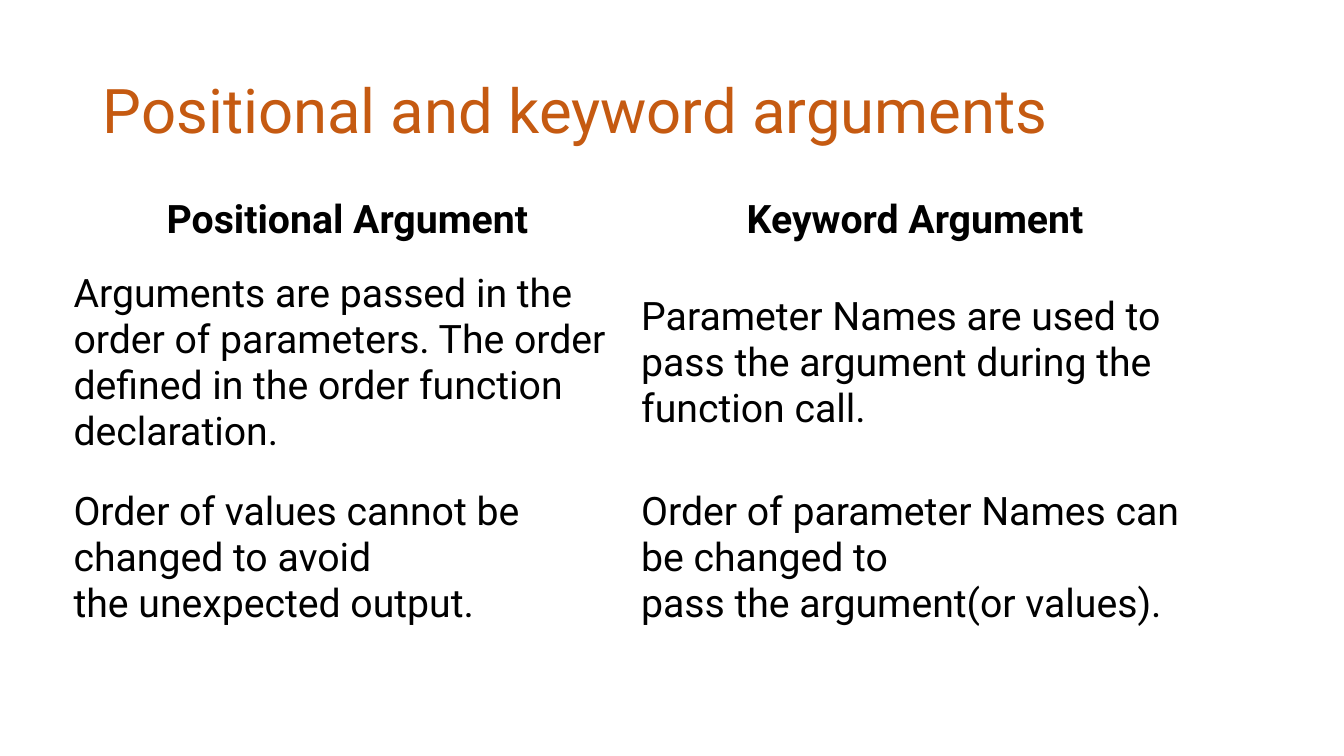
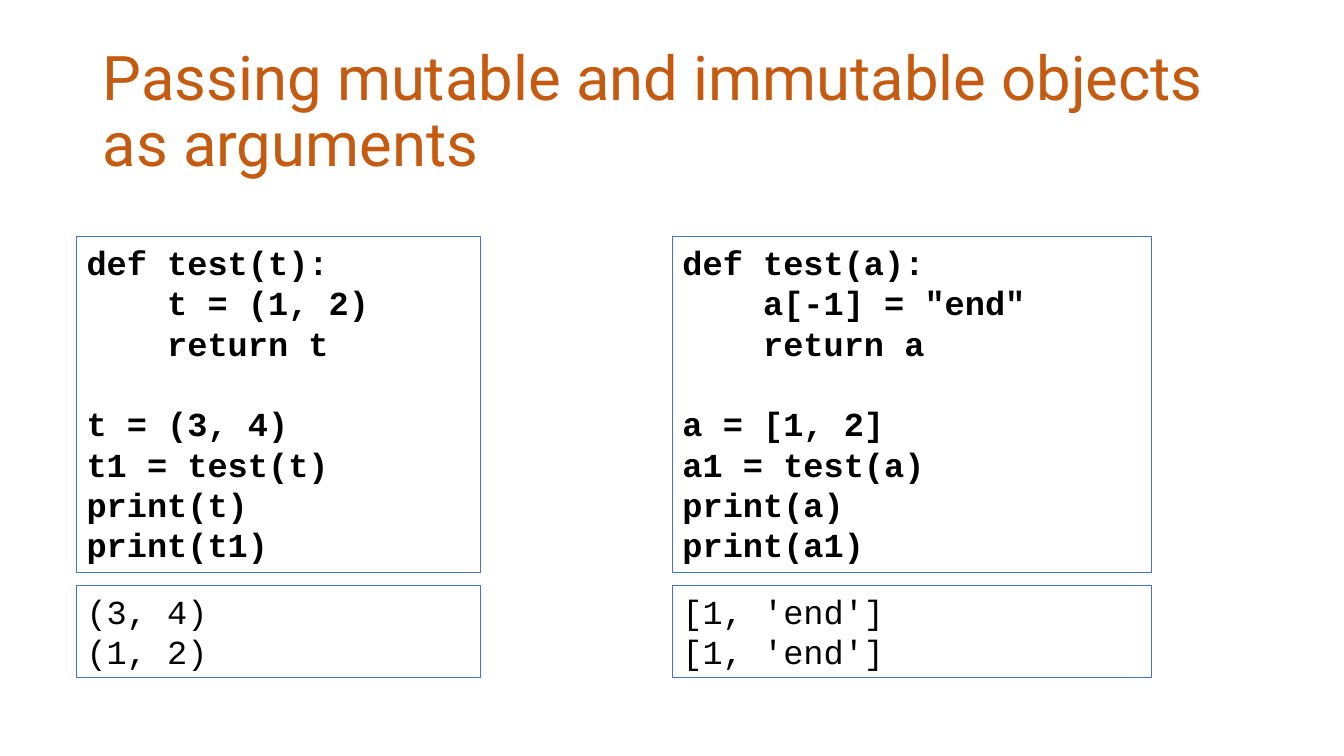
from dataclasses import dataclass
from typing import Any

from pptx import Presentation
from pptx.dml.color import RGBColor
from pptx.enum.shapes import MSO_SHAPE
from pptx.enum.text import MSO_ANCHOR, MSO_AUTO_SIZE, PP_ALIGN
from pptx.util import Inches, Pt

COLORS = {"title": "C55A11", "text": "000000", "line": "4472C4", "paper": "FFFFFF"}
TITLE = {"name": "Roboto", "size": Pt(44), "bold": False}
HEAD = {"name": "Roboto", "size": Pt(28), "bold": True}
BODY = HEAD | {"bold": False}
CODE = {"name": "Courier New", "size": Pt(24), "bold": True}
RESULT = CODE | {"bold": False}

ROWS = (
    ("Positional Argument", "Keyword Argument"),
    (
        "Arguments are passed in the order of parameters. "
        "The order defined in the order function declaration.",
        "Parameter Names are used to pass the argument during the function call.",
    ),
    (
        "Order of values cannot be changed to avoid\nthe unexpected output.",
        "Order of parameter Names can be changed to\npass the argument(or values).",
    ),
    ("", ""),
)
HEIGHTS = (0.66, 2.12, 1.66, 0.38)

TUPLE_CODE = """def test(t):
    t = (1, 2)
    return t

t = (3, 4)
t1 = test(t)
print(t)
print(t1)"""

LIST_CODE = """def test(a):
    a[-1] = "end"
    return a

a = [1, 2]
a1 = test(a)
print(a)
print(a1)"""


@dataclass(frozen=True)
class Sample:
    left: float
    width: float
    code: str
    result: str


SAMPLES = (
    Sample(0.76, 4.01, TUPLE_CODE, "(3, 4)\n(1, 2)"),
    Sample(6.67, 4.75, LIST_CODE, "[1, 'end']\n[1, 'end']"),
)


def color(key: str) -> RGBColor:
    return RGBColor.from_string(COLORS[key])


def apply(target: Any, values: dict[str, Any]) -> None:
    for name, value in values.items():
        setattr(target, name, value)


def write(frame: Any, text: str, font: dict[str, Any], ink: str = "text",
          align: PP_ALIGN = PP_ALIGN.LEFT, spacing: float = 1.0) -> None:
    frame.text = text
    frame.word_wrap = True
    for para in frame.paragraphs:
        apply(para, {"alignment": align, "line_spacing": spacing})
        apply(para.font, font)
        para.font.color.rgb = color(ink)


def add_slide(deck: Any, title: str) -> Any:
    slide = deck.slides.add_slide(deck.slide_layouts[6])
    box = slide.shapes.add_textbox(Inches(0.92), Inches(0.4), Inches(11.5), Inches(1.45))
    write(box.text_frame, title, TITLE, "title", spacing=0.9)
    box.text_frame.vertical_anchor = MSO_ANCHOR.MIDDLE
    return slide


def add_grid(slide: Any) -> None:
    table = slide.shapes.add_table(
        len(ROWS), 2, Inches(0.63), Inches(1.85), Inches(11.26), Inches(sum(HEIGHTS))
    ).table
    apply(table, {"first_row": False, "horz_banding": False})
    for row, (texts, height) in enumerate(zip(ROWS, HEIGHTS)):
        table.rows[row].height = Inches(height)
        head = row == 0
        pad = Inches(0.1 if head else 0.15)
        for col, text in enumerate(texts):
            cell = table.cell(row, col)
            cell.fill.solid()
            cell.fill.fore_color.rgb = color("paper")
            if text:
                apply(cell, {"margin_top": pad, "margin_bottom": pad,
                             "vertical_anchor": MSO_ANCHOR.MIDDLE})
                write(cell.text_frame, text, HEAD if head else BODY,
                      align=PP_ALIGN.CENTER if head else PP_ALIGN.LEFT)


def add_box(slide: Any, sample: Sample, top: float, height: float,
            text: str, font: dict[str, Any]) -> None:
    box = slide.shapes.add_shape(
        MSO_SHAPE.RECTANGLE, Inches(sample.left), Inches(top),
        Inches(sample.width), Inches(height)
    )
    box.shadow.inherit = False
    box.fill.background()
    box.line.color.rgb = color("line")
    box.line.width = Pt(0.75)
    write(box.text_frame, text, font)
    apply(box.text_frame, {"vertical_anchor": MSO_ANCHOR.TOP,
                           "auto_size": MSO_AUTO_SIZE.SHAPE_TO_FIT_TEXT})


def main() -> None:
    deck = Presentation()
    apply(deck, {"slide_width": Inches(13.33), "slide_height": Inches(7.5)})
    add_grid(add_slide(deck, "Positional and keyword arguments"))
    slide = add_slide(deck, "Passing mutable and immutable objects as arguments")
    for sample in SAMPLES:
        add_box(slide, sample, 2.35, 3.33, sample.code, CODE)
        add_box(slide, sample, 5.81, 0.91, sample.result, RESULT)
    deck.save("out.pptx")


if __name__ == "__main__":
    main()
